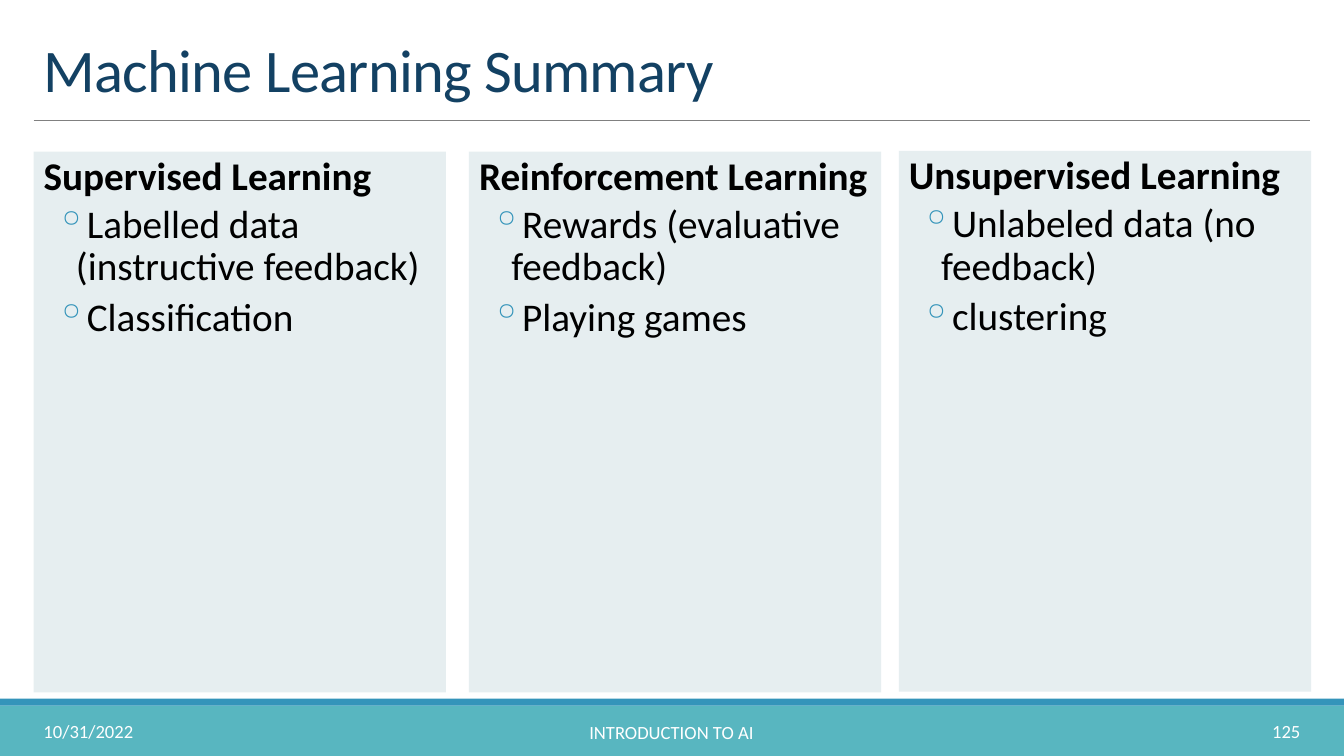
from lxml.etree import SubElement
from pptx import Presentation
from pptx.dml.color import RGBColor
from pptx.enum.shapes import MSO_CONNECTOR, MSO_SHAPE
from pptx.enum.text import MSO_ANCHOR, PP_ALIGN
from pptx.oxml.ns import qn
from pptx.util import Pt

TITLE = "Machine Learning Summary"
# left, top, height, heading, points
COLUMNS = [
    (24, 108.25, 386.4, "Supervised Learning",
     ["Labelled data (instructive feedback)", "Classification"]),
    (335, 108.25, 386.4, "Reinforcement Learning",
     ["Rewards (evaluative feedback)", "Playing games"]),
    (642, 107.75, 386.4, "Unsupervised Learning",
     ["Unlabeled data (no feedback)", "clustering"]),
]
COLUMN_WIDTH = 294.5
# left, top, width, text, alignment
FOOTERS = [
    (24, 507.6, 194.4, "10/31/2022", PP_ALIGN.LEFT),
    (290, 508.5, 379.4, "INTRODUCTION TO AI", PP_ALIGN.CENTER),
    (833, 507.6, 103, "125", PP_ALIGN.RIGHT),
]
# top, height, colour
BANDS = [(504, 36, "58B6C0"), (499, 5, "3494BA")]
WIDTH, HEIGHT = 960, 540


def color(value):
    return RGBColor.from_string(value)


def add_panel(page, left, top, width, height, fill):
    panel = page.shapes.add_shape(
        MSO_SHAPE.RECTANGLE, Pt(left), Pt(top), Pt(width), Pt(height))
    panel.shadow.inherit = False
    panel.fill.solid()
    panel.fill.fore_color.rgb = color(fill)
    panel.line.fill.background()
    return panel


def set_font(para, size, value, bold=False):
    font = para.font
    font.name, font.size, font.bold = "Calibri", Pt(size), bold
    font.color.rgb = color(value)


def add_label(page, left, top, width, height, text, size, value, anchor,
              align=PP_ALIGN.LEFT):
    box = page.shapes.add_textbox(Pt(left), Pt(top), Pt(width), Pt(height))
    frame = box.text_frame
    frame.word_wrap = True
    frame.vertical_anchor = anchor
    para = frame.paragraphs[0]
    para.text, para.alignment = text, align
    set_font(para, size, value)
    return para


def set_indent(para, margin, indent, bullet=None):
    properties = para._p.get_or_add_pPr()
    properties.set("marL", str(Pt(margin)))
    properties.set("indent", str(Pt(indent)))
    if bullet:
        bullet_color = SubElement(properties, qn("a:buClr"))
        SubElement(bullet_color, qn("a:srgbClr"), val="3494BA")
        SubElement(properties, qn("a:buChar"), char=bullet)


def add_column(page, left, top, height, heading, points):
    panel = add_panel(page, left, top, COLUMN_WIDTH, height, "E6EEF0")
    frame = panel.text_frame
    frame.word_wrap = True
    frame.vertical_anchor = MSO_ANCHOR.TOP
    frame.margin_left = frame.margin_right = 0
    para = frame.paragraphs[0]
    para.text, para.alignment = heading, PP_ALIGN.LEFT
    para.line_spacing, para.space_after = 0.9, Pt(2)
    set_indent(para, 7.2, 0)
    set_font(para, 28, "000000", bold=True)
    for point in points:
        para = frame.add_paragraph()
        para.text, para.alignment = point, PP_ALIGN.LEFT
        para.line_spacing = 0.9
        para.space_before, para.space_after = Pt(2), Pt(4)
        set_indent(para, 30.24, -14.4, "◦")
        set_font(para, 28, "000000")


def main():
    deck = Presentation()
    deck.slide_width, deck.slide_height = Pt(WIDTH), Pt(HEIGHT)
    page = deck.slides.add_slide(deck.slide_layouts[6])

    for top, height, fill in BANDS:
        add_panel(page, 0, top, WIDTH, height, fill)

    rule = page.shapes.add_connector(
        MSO_CONNECTOR.STRAIGHT, Pt(24), Pt(86), Pt(936), Pt(86))
    rule.line.color.rgb = color("808080")
    rule.line.width = Pt(0.5)
    SubElement(rule._element.spPr, qn("a:effectLst"))

    title = add_label(page, 24, 22.3, 912, 56.2, TITLE, 43.2, "134163",
                      MSO_ANCHOR.BOTTOM)
    title.line_spacing = 0.85
    title.runs[0].font._element.set("spc", "-50")

    for column in COLUMNS:
        add_column(page, *column)
    for left, top, width, text, align in FOOTERS:
        add_label(page, left, top, width, 28.8, text, 13.3, "FFFFFF",
                  MSO_ANCHOR.MIDDLE, align)

    deck.save("out.pptx")


if __name__ == "__main__":
    main()
